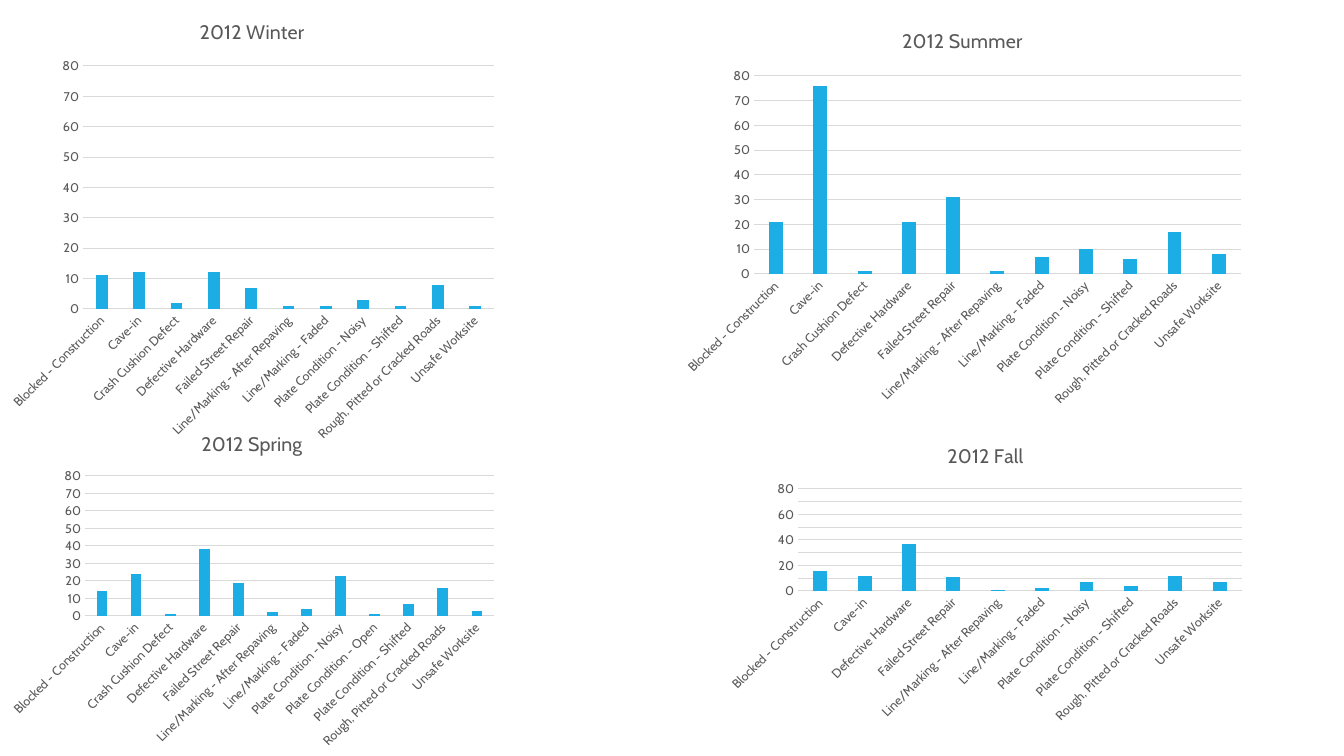
import dataclasses

import pptx
import pptx.chart.data
import pptx.dml.color
import pptx.enum.chart
import pptx.oxml
import pptx.oxml.ns
import pptx.util


@dataclasses.dataclass(frozen=True)
class Theme:
    font: str = "Cabin"
    ink: str = "595959"
    rule: str = "D9D9D9"
    bar: str = "1CADE4"
    title: int = 14
    label: int = 9
    line: float = 0.75


THEME = Theme()
WIDE, HIGH = 1344, 756
PX_PER_INCH = 100.8

CAUSES = [
    "Blocked - Construction", "Cave-in", "Crash Cushion Defect",
    "Defective Hardware", "Failed Street Repair",
    "Line/Marking - After Repaving", "Line/Marking - Faded",
    "Plate Condition - Noisy", "Plate Condition - Open",
    "Plate Condition - Shifted", "Rough, Pitted or Cracked Roads",
    "Unsafe Worksite",
]

# Title, chart box, plot box inside the chart (left, top, width, height),
# and one count per cause; None leaves the cause out.
SEASONS = [
    ("2012 Summer", (672, 10, 581, 404), (82, 66, 487, 198),
     [21, 76, 1, 21, 31, 1, 7, 10, None, 6, 17, 8]),
    ("2012 Spring", (0, 415, 504, 341), (85, 61, 409, 140),
     [14, 24, 1, 38, 19, 2, 4, 23, 1, 7, 16, 3]),
    ("2012 Winter", (0, 0, 504, 451), (83, 66, 411, 243),
     [11, 12, 2, 12, 7, 1, 1, 3, None, 1, 8, 1]),
    ("2012 Fall", (718, 427, 535, 302), (80, 62, 444, 102),
     [16, 12, None, 37, 11, 1, 2, 7, None, 4, 12, 7]),
]


def px(count):
    return pptx.util.Inches(count / PX_PER_INCH)


def rgb(code):
    return pptx.dml.color.RGBColor.from_string(code)


def set_font(font, size=THEME.label, color=THEME.ink, bold=False):
    font.name = THEME.font
    font.size = pptx.util.Pt(size)
    font.bold = bold
    font.color.rgb = rgb(color)


def put_text(frame, text, **form):
    frame.text = text
    set_font(frame.paragraphs[0].runs[0].font, **form)


def set_rule(line):
    line.color.rgb = rgb(THEME.rule)
    line.width = pptx.util.Pt(THEME.line)


def place_plot(chart, box, plot):
    """Fix the inner plot area as fractions of the chart box."""
    area = chart.element.xpath(".//c:plotArea")[0]
    for old in area.xpath("./c:layout"):
        area.remove(old)
    wide, high = box[2:]
    left, top, width, height = plot
    parts = [
        ("layoutTarget", "inner"), ("xMode", "edge"), ("yMode", "edge"),
        ("x", left / wide), ("y", top / high),
        ("w", width / wide), ("h", height / high),
    ]
    body = "".join(f'<c:{tag} val="{val}"/>' for tag, val in parts)
    area.insert(0, pptx.oxml.parse_xml(
        f'<c:layout {pptx.oxml.ns.nsdecls("c")}>'
        f"<c:manualLayout>{body}</c:manualLayout></c:layout>"))


def style_axes(chart):
    none = pptx.enum.chart.XL_TICK_MARK.NONE
    for axis in (chart.category_axis, chart.value_axis):
        axis.major_tick_mark = none
        axis.minor_tick_mark = none
        set_font(axis.tick_labels.font)

    set_rule(chart.category_axis.format.line)
    slant = chart.element.xpath(".//c:catAx/c:txPr/a:bodyPr")[0]
    slant.set("rot", "-2700000")
    slant.set("vert", "horz")

    count = chart.value_axis
    count.minimum_scale, count.maximum_scale, count.major_unit = 0, 80, 10
    count.format.line.fill.background()
    set_rule(count.major_gridlines.format.line)


def add_season(slide, title, box, plot, counts):
    pairs = [(cause, count) for cause, count in zip(CAUSES, counts)
             if count is not None]
    data = pptx.chart.data.CategoryChartData()
    data.categories = [cause for cause, _ in pairs]
    data.add_series("Series 1", [count for _, count in pairs])

    chart = slide.shapes.add_chart(
        pptx.enum.chart.XL_CHART_TYPE.COLUMN_CLUSTERED,
        *map(px, box), data).chart
    set_font(chart.font)
    chart.has_legend = False
    chart.has_title = True
    put_text(chart.chart_title.text_frame, title, size=THEME.title)
    chart.chart_title.include_in_layout = False

    bars = chart.plots[0]
    bars.gap_width, bars.overlap = 219, -27
    bars.vary_by_categories = False
    fill = bars.series[0].format.fill
    fill.solid()
    fill.fore_color.rgb = rgb(THEME.bar)

    style_axes(chart)
    place_plot(chart, box, plot)


def main():
    deck = pptx.Presentation()
    deck.slide_width, deck.slide_height = px(WIDE), px(HIGH)
    slide = deck.slides.add_slide(deck.slide_layouts[6])
    for season in SEASONS:
        add_season(slide, *season)
    deck.save("out.pptx")


if __name__ == "__main__":
    main()
